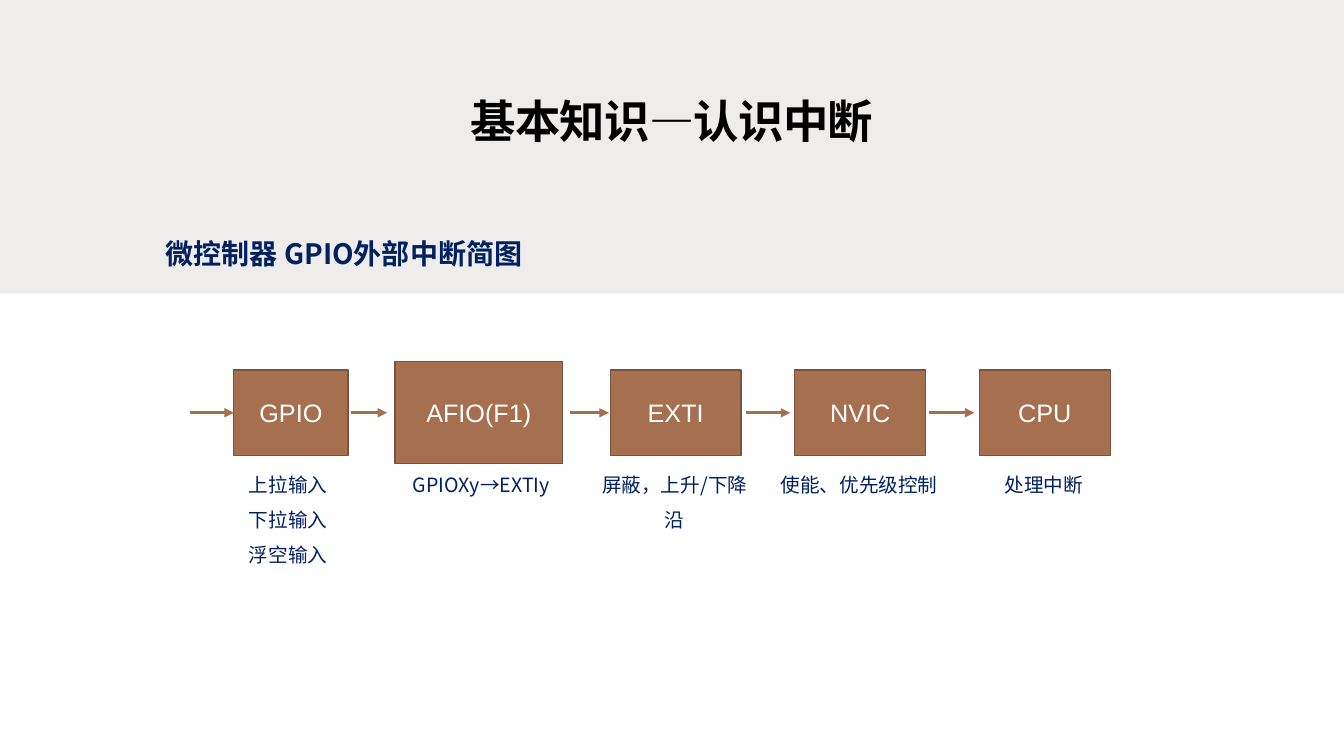
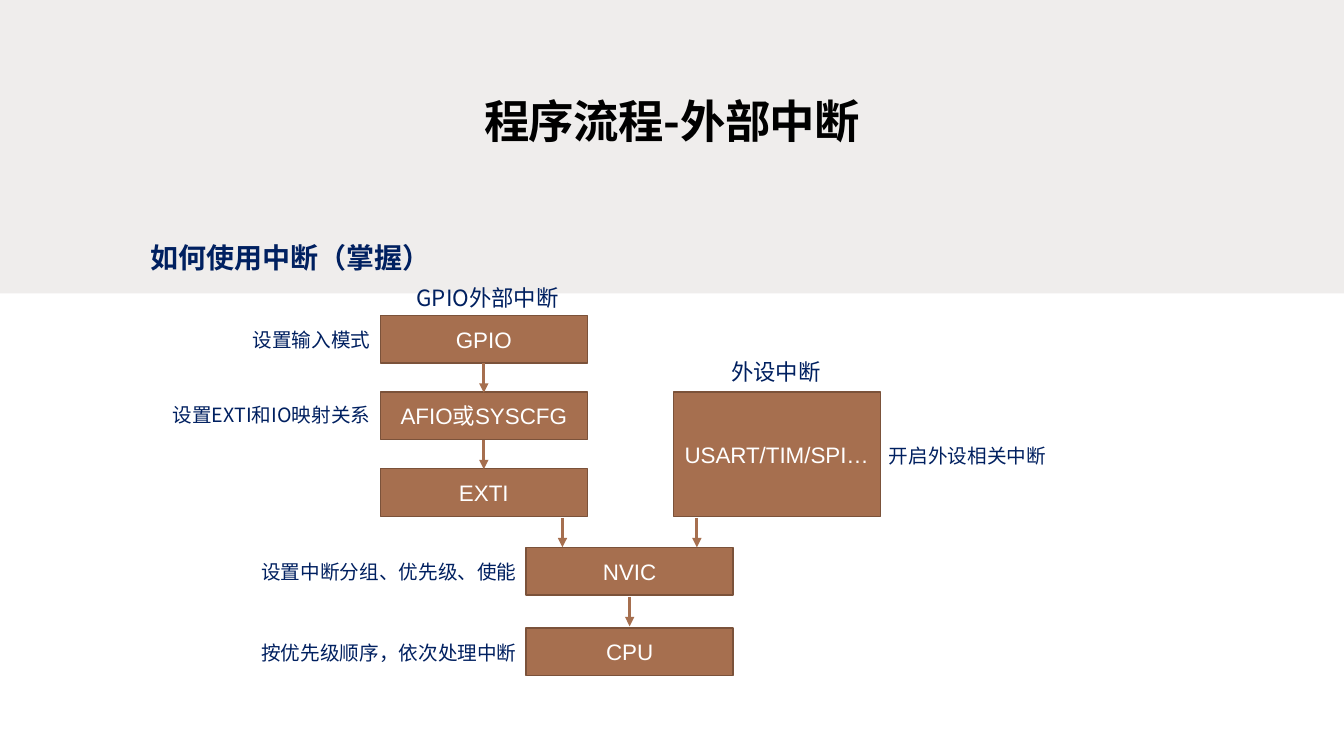
import dataclasses

import pptx
import pptx.dml.color
import pptx.enum.shapes
import pptx.enum.text
import pptx.oxml.ns
import pptx.util
from lxml import etree


@dataclasses.dataclass(frozen=True)
class Theme:
    band: str = "EFEDEC"
    box: str = "A66F4F"
    edge: str = "7B523A"
    navy: str = "002060"
    black: str = "000000"
    white: str = "FFFFFF"
    latin: str = "Arial"
    cjk: str = "Noto Sans CJK SC"
    title: float = 32.4
    heading: float = 20
    box_text: tuple = (18, 16)
    group: float = 16
    label: float = 14
    edge_width: float = 1
    arrow_width: float = 2.25


T = Theme()
RGB = pptx.dml.color.RGBColor.from_string
Pt = pptx.util.Pt
qn = pptx.oxml.ns.qn
ALIGN = pptx.enum.text.PP_ALIGN
ANCHOR = pptx.enum.text.MSO_ANCHOR
FIT = pptx.enum.text.MSO_AUTO_SIZE
RECT = pptx.enum.shapes.MSO_SHAPE.RECTANGLE
STRAIGHT = pptx.enum.shapes.MSO_CONNECTOR.STRAIGHT

prs = pptx.Presentation()
prs.slide_width = pptx.util.Inches(13.33)
prs.slide_height = pptx.util.Inches(7.5)


def grid(*lengths):
    """Turn alternating x and y percentages of the slide into lengths."""
    sides = (prs.slide_width, prs.slide_height)
    return [int(v * sides[i % 2] / 100) for i, v in enumerate(lengths)]


def write(sp, text, size, color=T.navy, font=T.cjk, bold=False, align=ALIGN.CENTER,
          anchor=ANCHOR.TOP, fit=FIT.SHAPE_TO_FIT_TEXT, spacing=None, tracking=None,
          inset=(0.1, 0.05)):
    tf = sp.text_frame
    tf.word_wrap = True
    tf.auto_size = fit
    tf.vertical_anchor = anchor
    tf.margin_left = tf.margin_right = pptx.util.Inches(inset[0])
    tf.margin_top = tf.margin_bottom = pptx.util.Inches(inset[1])
    for i, line in enumerate(text.split("\n")):
        p = tf.add_paragraph() if i else tf.paragraphs[0]
        p.alignment = align
        p.line_spacing = spacing
        r = p.add_run()
        r.text = line
        r.font.size = Pt(size)
        r.font.bold = bold
        r.font.color.rgb = RGB(color)
        r.font.name = font
        rPr = r._r.get_or_add_rPr()
        etree.SubElement(rPr, qn("a:ea")).set("typeface", T.cjk)
        if tracking is not None:
            rPr.set("spc", str(int(tracking * 100)))


# Slide 1: a row of boxes on one centre line, in percent of the slide
mid, short, tall = 54.6, 11.35, 13.5
top = mid - short / 2
stage_w, stage_x = 9.75, [45.4 + 13.73 * i for i in range(3)]
chain = dict(
    title="基本知识—认识中断",
    heading=("微控制器 GPIO外部中断简图", 11.95, 28.8, 34.2, 6.7),
    boxes=[
        ("GPIO", 17.4, top, 8.5, short),
        ("AFIO(F1)", 29.4, mid - tall / 2, 12.45, tall),
        *[(name, x, top, stage_w, short)
          for name, x in zip(("EXTI", "NVIC", "CPU"), stage_x)],
    ],
    arrows=[(a, mid, b, mid) for a, b in
            ((14.1, 17.4), (26.1, 28.8), (42.45, 45.3), (55.5, 58.8), (69.15, 72.5))],
    labels=[(text, x, 60.3, w, 5.6, dict(size=T.label, spacing=1.5)) for text, x, w in (
        ("上拉输入\n下拉输入\n浮空输入", 17.35, 8.2),
        ("GPIOXy→EXTIy", 29.9, 11.85),
        ("屏蔽，上升/下降沿", 43.35, 13.7),
        ("使能、优先级控制", 57.2, 13.45),
        ("处理中断", 70.95, 13.45),
    )],
)

# Slide 2: two branches that meet at NVIC
w, h, step = 15.4, 6.3, 10.13
left, centre, right = 28.3, 39.15, 50.1
y0, nvic_y, cpu_y, drop = 41.75, 72.4, 83.05, 3.9
note = dict(size=T.label, align=ALIGN.RIGHT)
group = dict(size=T.group)
flow = dict(
    title="程序流程-外部中断",
    heading=("如何使用中断（掌握）", 10.8, 29.35, 28.4, 7.3),
    boxes=[
        *[(name, left, y0 + i * step, w, h)
          for i, name in enumerate(("GPIO", "AFIO或SYSCFG", "EXTI"))],
        ("USART/TIM/SPI…", right, y0 + step, w, step + h),
        ("NVIC", centre, nvic_y, w, h),
        ("CPU", centre, cpu_y, w, h),
    ],
    arrows=[(x, y, x, y + drop) for x, y in (
        (left + w / 2, y0 + h), (left + w / 2, y0 + h + step),
        (41.85, nvic_y - drop), (51.85, nvic_y - drop), (centre + w / 2, 78.95))],
    labels=[
        ("GPIO外部中断", 29.05, 36.95, 14.45, 4.95, group),
        ("外设中断", 51.3, 46.65, 12.85, 4.95, group),
        ("设置输入模式", 18, 42.65, left - 18, 4.5, note),
        ("设置EXTI和IO映射关系", 11.9, 52.65, left - 11.9, 4.5, note),
        ("设置中断分组、优先级、使能", 18, 73.35, centre + 0.05 - 18, 4.5, note),
        ("按优先级顺序，依次处理中断", 18, 84.15, centre + 0.05 - 18, 4.5, note),
        ("开启外设相关中断", 65.4, 58, 14.2, 4.5, dict(size=T.label, align=ALIGN.LEFT)),
    ],
)

layout = prs.slide_layouts[5]
for page, (deck, box_size) in enumerate(zip((chain, flow), T.box_text)):
    s = prs.slides.add_slide(layout)

    # Shared band, moved once to the layout
    if page == 0:
        band = s.shapes.add_shape(RECT, *grid(0, 0, 100, 38.8))
        band.shadow.inherit = False
        band.fill.solid()
        band.fill.fore_color.rgb = RGB(T.band)
        band.line.fill.background()
        layout.shapes._spTree.insert(2, band._element)

    # Title and heading
    sp = s.shapes.title
    sp.left, sp.top, sp.width, sp.height = grid(5, 11.33, 90, 9.2)
    write(sp, deck["title"], T.title, color=T.black, bold=True, anchor=ANCHOR.MIDDLE,
          fit=FIT.NONE, tracking=-0.5)
    text, *at = deck["heading"]
    write(s.shapes.add_textbox(*grid(*at)), text, T.heading, bold=True,
          align=ALIGN.LEFT, spacing=1.5, inset=(0.05, 0.02))

    # Boxes
    for text, *at in deck["boxes"]:
        sp = s.shapes.add_shape(RECT, *grid(*at))
        sp.shadow.inherit = False
        sp.fill.solid()
        sp.fill.fore_color.rgb = RGB(T.box)
        sp.line.color.rgb = RGB(T.edge)
        sp.line.width = Pt(T.edge_width)
        write(sp, text, box_size, color=T.white, font=T.latin,
              anchor=ANCHOR.MIDDLE, fit=FIT.NONE)

    # Arrows
    for ends in deck["arrows"]:
        arrow = s.shapes.add_connector(STRAIGHT, *grid(*ends))
        arrow.line.color.rgb = RGB(T.box)
        arrow.line.width = Pt(T.arrow_width)
        etree.SubElement(arrow.line._get_or_add_ln(), qn("a:tailEnd")).set("type", "triangle")
        etree.SubElement(arrow._element.spPr, qn("a:effectLst"))

    # Labels
    for text, *at, style in deck["labels"]:
        write(s.shapes.add_textbox(*grid(*at)), text, **style)

prs.save("out.pptx")
